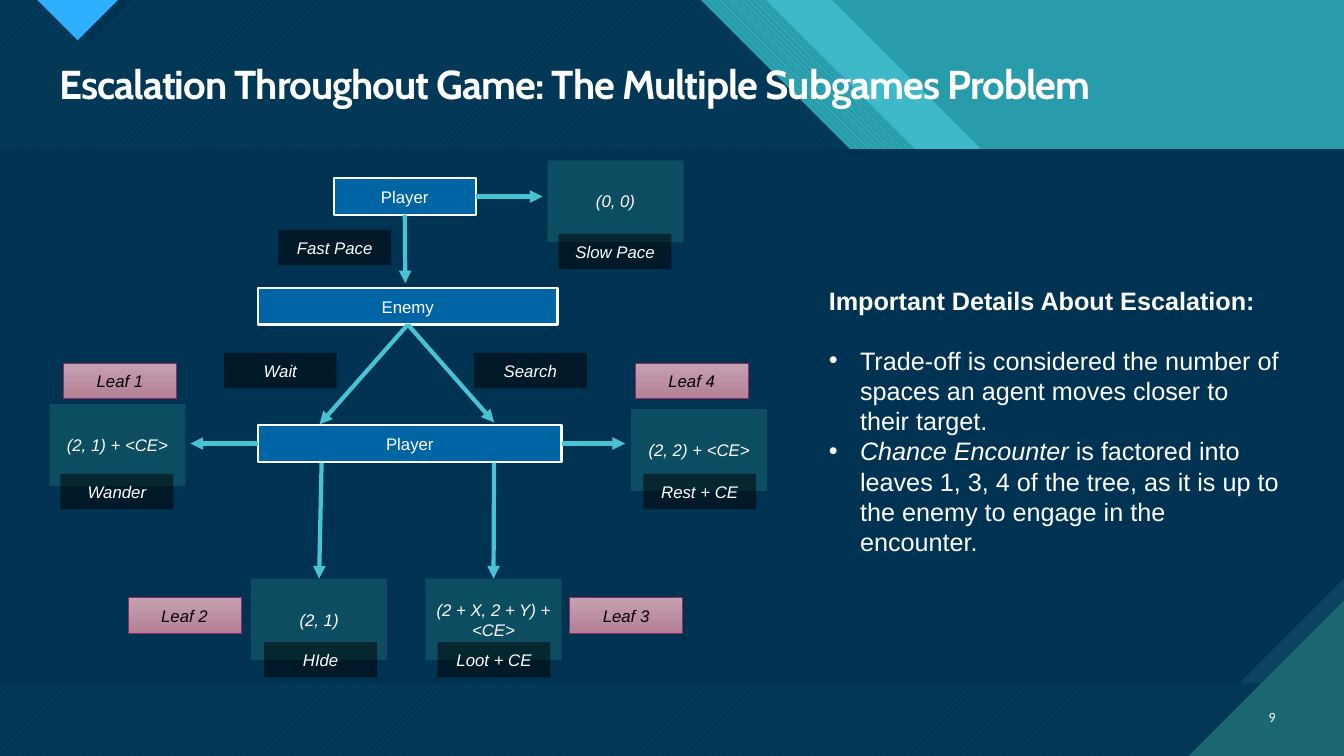
"""Build the slide on the multiple subgames problem with its game tree."""
from lxml import etree
from pptx import Presentation
from pptx.dml.color import RGBColor
from pptx.enum import dml, shapes, text
from pptx.oxml import ns
from pptx.util import Inches, Pt

COLORS = {
    "teal": "299CAB", "aqua": "47C3D3", "band": "3FB9C9", "deep": "1B6872",
    "navy": "003352", "corner": "0C4360", "sky": "2FAFFF", "player": "0065A4",
    "payoff": "1A6871", "black": "000000", "white": "FFFFFF",
    "leaf_top": "C6A0B0", "leaf_bottom": "B48096", "leaf_edge": "8F2D63",
}
RGB = {name: RGBColor.from_string(value) for name, value in COLORS.items()}

prs = Presentation()
prs.slide_width, prs.slide_height = Inches(13.33), Inches(7.5)
slide = prs.slides.add_slide(prs.slide_layouts[1])
slide.background.fill.solid()
slide.background.fill.fore_color.rgb = RGB["teal"]


def paint(shape, color, opacity=100):
    """Give a shape a plain fill without outline or shadow."""
    shape.shadow.inherit = False
    shape.line.fill.background()
    shape.fill.solid()
    shape.fill.fore_color.rgb = RGB[color]
    if opacity < 100:
        tint = shape.fill._xPr.find(".//" + ns.qn("a:srgbClr"))
        etree.SubElement(tint, ns.qn("a:alpha"), val=str(opacity * 1000))


def add_box(label, left, top, width, height, color, opacity=100):
    """Add a labelled rectangle of the game tree."""
    box = slide.shapes.add_shape(shapes.MSO_SHAPE.RECTANGLE, Inches(left), Inches(top),
                                 Inches(width), Inches(height))
    paint(box, color, opacity)
    frame = box.text_frame
    frame.word_wrap = True
    frame.margin_left = frame.margin_right = Inches(0.05)
    frame.vertical_anchor = text.MSO_ANCHOR.MIDDLE
    frame.text = label
    frame.paragraphs[0].alignment = text.PP_ALIGN.CENTER
    font = frame.paragraphs[0].runs[0].font
    font.name, font.size, font.italic = "Arial", Pt(12), color != "player"
    font.color.rgb = RGB["white"]
    return box


diagonal = dml.MSO_PATTERN
backdrop = [
    ([(0, 0), (8.25, 0), (13.33, 5.08), (13.33, 7.5), (0, 7.5)], "band", 100, None),
    ([(0, 0), (7.6, 0), (13.33, 5.73), (13.33, 7.5), (0, 7.5)], "aqua", 100,
     (diagonal.WIDE_DOWNWARD_DIAGONAL, "teal")),
    ([(0, 0), (6.95, 0), (13.33, 6.38), (13.33, 7.5), (0, 7.5)], "aqua", 100,
     (diagonal.WIDE_UPWARD_DIAGONAL, "deep")),
    ([(0, 0), (6.95, 0), (13.33, 6.38), (13.33, 7.5), (0, 7.5)], "navy", 90, None),
    ([(0.48, 0), (1.31, 0), (0.9, 0.41)], "navy", 100, None),
    ([(0.37, 0), (1.17, 0), (0.77, 0.4)], "sky", 100, None),
    ([(0, 1.48), (13.33, 1.48), (13.33, 6.78), (0, 6.78)], "corner", 100, None),
    ([(0, 1.48), (13.33, 1.48), (13.33, 5.74), (12.29, 6.78), (0, 6.78)], "navy", 100, None),
    ([(11.79, 7.5), (13.33, 7.5), (13.33, 5.96)], "deep", 100, None),
]
for points, color, opacity, pattern in backdrop:
    corners = [(Inches(x), Inches(y)) for x, y in points]
    outline = slide.shapes.build_freeform(*corners[0])
    outline.add_line_segments(corners[1:])
    area = outline.convert_to_shape()
    paint(area, color, opacity)
    if pattern:
        area.fill.patterned()
        area.fill.pattern = pattern[0]
        area.fill.fore_color.rgb = RGB[color]
        area.fill.back_color.rgb = RGB[pattern[1]]

title, details = slide.placeholders
for holder, (left, top, width, height) in ((title, (0.49, 0.59, 12.26, 0.59)),
                                           (details, (8.12, 2.78, 4.72, 2.83))):
    holder.left, holder.top = Inches(left), Inches(top)
    holder.width, holder.height = Inches(width), Inches(height)
    holder.text_frame.vertical_anchor = text.MSO_ANCHOR.TOP
    holder.text_frame.auto_size = text.MSO_AUTO_SIZE.NONE
    slide.shapes._spTree.append(holder._element)

title.text_frame.text = "Escalation Throughout Game: The Multiple Subgames Problem"
heading = title.text_frame.paragraphs[0]
heading.alignment, heading.line_spacing = text.PP_ALIGN.LEFT, 0.9
heading_font = heading.runs[0].font
heading_font.name, heading_font.size, heading_font.bold = "Cabin", Pt(28.8), True
heading_font.color.rgb = RGB["white"]
heading_font._element.set("spc", "-70")

page = slide.shapes.add_textbox(Inches(12.31), Inches(6.91), Inches(0.44), Inches(0.4))
page.text_frame.word_wrap = True
page.text_frame.vertical_anchor = text.MSO_ANCHOR.MIDDLE
page.text_frame.text = "9"
number = page.text_frame.paragraphs[0]
number.alignment, number.space_after = text.PP_ALIGN.RIGHT, Pt(6)
number.runs[0].font.name, number.runs[0].font.size = "Calibri", Pt(10)
number.runs[0].font.color.rgb = RGB["white"]

turns = [add_box(label, left, top, width, 0.36, "player") for label, left, top, width in (
    ("Player", 3.31, 1.77, 1.41), ("Enemy", 2.56, 2.86, 2.97), ("Player", 2.56, 4.22, 3.01))]
for turn in turns:
    turn.line.color.rgb = RGB["white"]
    turn.line.width = Pt(1.5)
first_player, enemy, second_player = turns

payoffs = [add_box(label, left, top, 1.35, 0.81, "payoff", 50) for label, left, top in (
    ("(0, 0)", 5.43, 1.59), ("(2, 1) + <CE>", 0.49, 4.01), ("(2, 2) + <CE>", 6.26, 4.06),
    ("(2, 1)", 2.49, 5.74), ("(2 + X, 2 + Y) + <CE>", 4.22, 5.74))]
hide, loot = payoffs[3:]

for action, left, top in (
        ("Fast Pace", 2.76, 2.28), ("Slow Pace", 5.54, 2.32), ("Wait", 2.22, 3.5),
        ("Search", 4.7, 3.5), ("Wander", 0.6, 4.7), ("Rest + CE", 6.38, 4.7),
        ("HIde", 2.62, 6.37), ("Loot + CE", 4.34, 6.37)):
    add_box(action, left, top, 1.12, 0.35, "black", 50)

for index, (left, top) in enumerate(((0.63, 3.6), (1.27, 5.93), (5.65, 5.93), (6.3, 3.6)), 1):
    leaf = add_box(f"Leaf {index}", left, top, 1.12, 0.35, "leaf_top")
    leaf.fill.gradient()
    leaf.fill.gradient_angle = 270
    for stop, color in zip(leaf.fill.gradient_stops, ("leaf_top", "leaf_bottom")):
        stop.color.rgb = RGB[color]
    leaf.line.color.rgb = RGB["leaf_edge"]
    leaf.line.width = Pt(0.5)
    leaf.text_frame.paragraphs[0].runs[0].font.color.rgb = RGB["black"]

for source, side, start, end, target in (
        (first_player, 2, (4.02, 2.13), (4.02, 2.81), None),
        (first_player, 3, (4.72, 1.95), (5.38, 1.95), None),
        (enemy, 2, (4.04, 3.22), (3.17, 4.21), None),
        (enemy, 2, (4.04, 3.22), (4.9, 4.19), None),
        (second_player, 3, (5.57, 4.4), (6.2, 4.4), None),
        (second_player, 1, (2.56, 4.4), (1.89, 4.4), None),
        (None, None, (3.19, 4.59), (3.17, 5.74), hide),
        (None, None, (4.9, 4.59), (4.9, 5.74), loot)):
    move = slide.shapes.add_connector(shapes.MSO_CONNECTOR.STRAIGHT,
                                      *(Inches(value) for value in start + end))
    if source:
        move.begin_connect(source, side)
    if target:
        move.end_connect(target, 0)
    move.line.color.rgb = RGB["aqua"]
    move.line.width = Pt(3)
    etree.SubElement(move.line._get_or_add_ln(), ns.qn("a:tailEnd"), type="triangle")
    etree.SubElement(move._element.spPr, ns.qn("a:effectLst"))

points = [
    [("Important Details About Escalation:", True, False)],
    [("Trade-off is considered the number of spaces an agent moves closer to their target.",
      False, False)],
    [("Chance Encounter ", False, True),
     ("is factored into leaves 1, 3, 4 of the tree, as it is up to the enemy to engage "
      "in the encounter.", False, False)],
]
for index, pieces in enumerate(points):
    frame = details.text_frame
    point = frame.add_paragraph() if index else frame.paragraphs[0]
    point.space_before, point.space_after = Pt(0), Pt(0 if index else 21)
    layout = point._p.get_or_add_pPr()
    layout.set("marL", str(Inches(0.31) if index else 0))
    layout.set("indent", str(Inches(-0.31) if index else 0))
    if index:
        etree.SubElement(layout, ns.qn("a:buFont"), typeface="Arial")
        etree.SubElement(layout, ns.qn("a:buChar"), char="•")
    else:
        etree.SubElement(layout, ns.qn("a:buNone"))
    for wording, bold, italic in pieces:
        run = point.add_run()
        run.text = wording
        run.font.name, run.font.size = "Arial", Pt(18)
        run.font.bold, run.font.italic = bold, italic
        run.font.color.rgb = RGB["white"]

prs.save("out.pptx")
